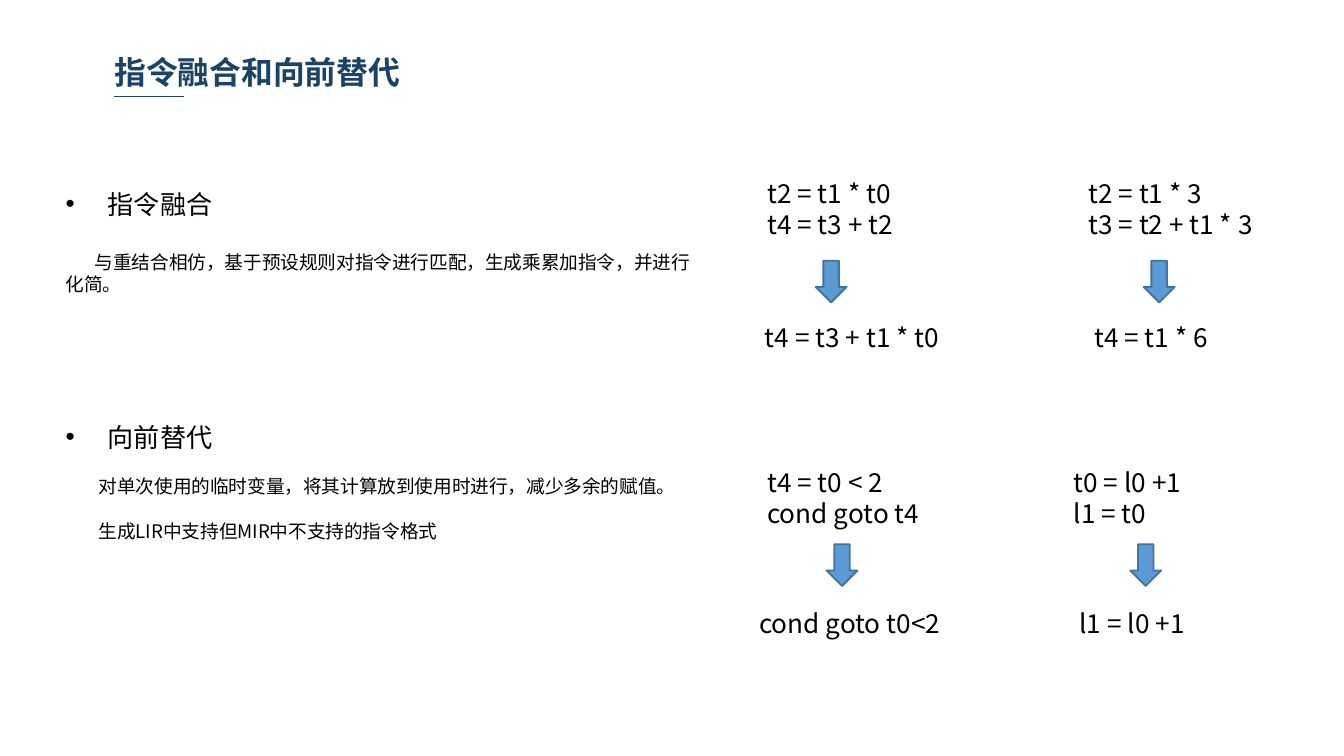
from lxml.etree import SubElement
from pptx import Presentation
from pptx.dml.color import RGBColor
from pptx.enum.shapes import MSO_CONNECTOR as Connector, MSO_SHAPE as Shape
from pptx.enum.text import PP_ALIGN as Align
from pptx.oxml.ns import qn
from pptx.util import Pt

FONT = "Noto Sans CJK SC"
NAVY = RGBColor(0x1B, 0x43, 0x67)
BLACK = RGBColor(0, 0, 0)
BLUE = RGBColor(0x5B, 0x9B, 0xD5)
BLUE_EDGE = RGBColor(0x43, 0x73, 0x9E)

HEADING, DETAIL = 14, 10
LINE_RATIO = 1.2

TITLE = "指令融合和向前替代"
BODY = [
    ("指令融合", HEADING, 0, 0),
    ("与重结合相仿，基于预设规则对指令进行匹配，生成乘累加指令，并进行", DETAIL, 16.8, 15.5),
    ("化简。", DETAIL, 0, 0),
    ("向前替代", HEADING, 67.2, 0),
    ("对单次使用的临时变量，将其计算放到使用时进行，减少多余的赋值。", DETAIL, 12, 17.7),
    ("生成LIR中支持但MIR中不支持的指令格式", DETAIL, 12, 17.7),
]
EXAMPLE_ROWS = [
    {"tops": (91.4, 139.7, 168.5), "examples": [
        (("t2 = t1 * t0", "t4 = t3 + t2"), " t4 = t3 + t1 * t0", (403.9, 437, 399.6)),
        (("t2 = t1 * 3", "t3 = t2 + t1 * 3"), " t4 = t1 * 6", (576, 612.7, 576)),
    ]},
    {"tops": (246.2, 291.6, 321.8), "examples": [
        (("t4 = t0 < 2", "cond goto t4"), "cond goto t0<2", (403.9, 442.8, 399.6)),
        (("t0 = l0 +1", "l1 = t0"), " l1 = l0 +1", (568.1, 605.5, 568.1)),
    ]},
]


def add_box(left, top, width, height, inset_x=7.2, inset_y=3.6):
    frame = slide.shapes.add_textbox(Pt(left), Pt(top), Pt(width), Pt(height)).text_frame
    frame.word_wrap = True
    frame.margin_left = frame.margin_right = Pt(inset_x)
    frame.margin_top = frame.margin_bottom = Pt(inset_y)
    return frame


def add_line(frame, index, text, size, color=BLACK, bold=False):
    paragraph = frame.add_paragraph() if index else frame.paragraphs[0]
    paragraph.alignment = Align.LEFT
    paragraph.line_spacing = Pt(size * LINE_RATIO)
    run = paragraph.add_run()
    run.text = text
    font = run.font
    font.name, font.size, font.bold = FONT, Pt(size), bold
    font.color.rgb = color
    SubElement(run._r.get_or_add_rPr(), qn("a:ea"), typeface=FONT)
    return paragraph


def add_code(lines, left, top, height):
    frame = add_box(left, top, 121, height)
    for index, text in enumerate(lines):
        add_line(frame, index, text, HEADING)


def add_arrow(left, top):
    arrow = slide.shapes.add_shape(Shape.DOWN_ARROW, Pt(left), Pt(top), Pt(16.6), Pt(22.3))
    arrow.shadow.inherit = False
    arrow.fill.solid()
    arrow.fill.fore_color.rgb = BLUE
    arrow.line.color.rgb = BLUE_EDGE
    arrow.line.width = Pt(1)


presentation = Presentation()
presentation.slide_width, presentation.slide_height = Pt(720), Pt(405)
slide = presentation.slides.add_slide(presentation.slide_layouts[6])

add_line(add_box(56.2, 25.2, 178, 26, 5, 2.9), 0, TITLE, 17, NAVY, True)
underline = slide.shapes.add_connector(Connector.STRAIGHT, Pt(61.2), Pt(51.8), Pt(98.6), Pt(51.8))
underline.line.color.rgb = NAVY
underline.line.width = Pt(0.75)
SubElement(underline._element.spPr, qn("a:effectLst"))

body = add_box(28.1, 97.2, 641.5, 198.7)
for index, (text, size, before, indent) in enumerate(BODY):
    paragraph = add_line(body, index, text, size)
    paragraph.space_before = Pt(before)
    properties = paragraph._p.get_or_add_pPr()
    if size == HEADING:
        properties.set("marL", str(Pt(22.5)))
        properties.set("indent", str(-Pt(22.5)))
        SubElement(properties, qn("a:buFont"), typeface="Arial")
        SubElement(properties, qn("a:buChar"), char="•")
    else:
        properties.set("indent", str(Pt(indent)))

for row in EXAMPLE_ROWS:
    source_top, arrow_top, result_top = row["tops"]
    for source, result, (source_left, arrow_left, result_left) in row["examples"]:
        add_code(source, source_left, source_top, 41)
        add_arrow(arrow_left, arrow_top)
        add_code([result], result_left, result_top, 24.5)

presentation.save("out.pptx")
